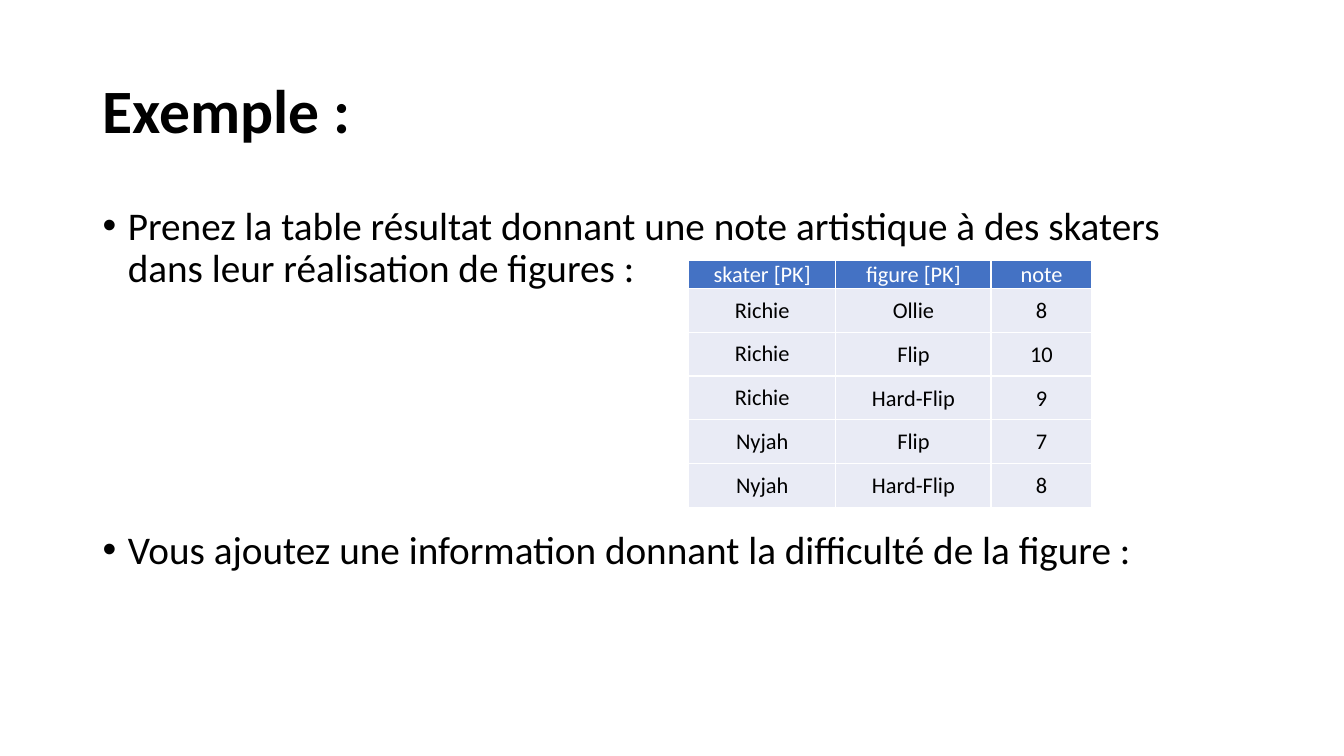
from lxml import etree
from pptx import Presentation
from pptx.dml.color import RGBColor
from pptx.enum.text import MSO_ANCHOR, MSO_AUTO_SIZE, PP_ALIGN
from pptx.oxml.ns import qn
from pptx.util import Inches, Pt

MIDDLE, TOP = MSO_ANCHOR.MIDDLE, MSO_ANCHOR.TOP
LEFT, CENTER = PP_ALIGN.LEFT, PP_ALIGN.CENTER
NO_FIT = MSO_AUTO_SIZE.NONE
TITLE_ONLY = 5

FONT = "Calibri"
BLACK, WHITE = "000000", "FFFFFF"
HEADER_FILL, ROW_FILL = "4472C4", "E9EBF5"

# Regions in inches: left, top, width, height
PAGE_WIDTH, PAGE_HEIGHT = 13.33, 7.5
MARGIN = 0.92
CONTENT_WIDTH = PAGE_WIDTH - 2 * MARGIN
TITLE_BOX = (MARGIN, 0.4, CONTENT_WIDTH, 1.45)
BODY_BOX = (MARGIN, 2, CONTENT_WIDTH, 4.76)
TABLE_BOX = (6.83, 2.58, 4, 2.44)

COLUMN_SHARES = (0.365, 0.385, 0.25)
HEADER_SHARE = 0.11
RESULTS = [
    ("skater [PK]", "figure [PK]", "note"),
    ("Richie", "Ollie", "8"),
    ("Richie", "Flip", "10"),
    ("Richie", "Hard-Flip", "9"),
    ("Nyjah", "Flip", "7"),
    ("Nyjah", "Hard-Flip", "8"),
]
# Each bullet with its space before; the wide one leaves room for the table
BULLETS = [
    ("Prenez la table résultat donnant une note artistique à des skaters "
     "dans leur réalisation de figures :", 0),
    ("Vous ajoutez une information donnant la difficulté de la figure :", 171),
]


def color(value):
    return RGBColor.from_string(value)


def write(para, text, size, ink=BLACK, bold=False, align=LEFT, spacing=1.0, before=0):
    para.alignment = align
    para.line_spacing = spacing
    para.space_before = Pt(before)
    span = para.add_run()
    span.text = text
    font = span.font
    font.name, font.size, font.bold = FONT, Pt(size), bold
    font.color.rgb = color(ink)


def add_bullet(para, indent):
    properties = para._p.get_or_add_pPr()
    properties.set("marL", str(Inches(indent)))
    properties.set("indent", str(-Inches(indent)))
    etree.SubElement(properties, qn("a:buFont"), typeface="Arial")
    etree.SubElement(properties, qn("a:buChar"), char="•")


def draw_borders(cell, ink, width):
    properties = cell._tc.get_or_add_tcPr()
    for position, side in enumerate(("a:lnL", "a:lnR", "a:lnT", "a:lnB")):
        line = etree.Element(qn(side), w=str(Pt(width)))
        fill = etree.SubElement(line, qn("a:solidFill"))
        etree.SubElement(fill, qn("a:srgbClr"), val=ink)
        properties.insert(position, line)


def add_title(page, box, text):
    title = page.shapes.title
    title.left, title.top, title.width, title.height = map(Inches, box)
    frame = title.text_frame
    frame.auto_size = NO_FIT
    frame.vertical_anchor = MIDDLE
    write(frame.paragraphs[0], text, 44, bold=True, spacing=0.9)


def add_bullets(page, box, bullets):
    frame = page.shapes.add_textbox(*map(Inches, box)).text_frame
    frame.word_wrap = True
    frame.auto_size = NO_FIT
    frame.vertical_anchor = TOP
    for index, (text, before) in enumerate(bullets):
        para = frame.add_paragraph() if index else frame.paragraphs[0]
        add_bullet(para, 0.25)
        write(para, text, 28, spacing=0.9, before=before)


def add_results(page, box, rows):
    width, height = box[2:]
    table = page.shapes.add_table(len(rows), len(rows[0]), *map(Inches, box)).table
    table.first_row = table.horz_banding = False

    for column, share in zip(table.columns, COLUMN_SHARES):
        column.width = Inches(width * share)
    row_share = (1 - HEADER_SHARE) / (len(rows) - 1)
    for index, row in enumerate(table.rows):
        row.height = Inches(height * (row_share if index else HEADER_SHARE))

    for row_index, values in enumerate(rows):
        is_header = row_index == 0
        for column_index, value in enumerate(values):
            cell = table.cell(row_index, column_index)
            is_skater = column_index == 0 and not is_header
            cell.margin_left = cell.margin_right = Inches(0.01)
            cell.margin_top = Inches(0.08 if is_skater else 0.01)
            cell.margin_bottom = Inches(0.08 if is_skater else 0)
            cell.vertical_anchor = MIDDLE
            cell.fill.solid()
            cell.fill.fore_color.rgb = color(HEADER_FILL if is_header else ROW_FILL)
            draw_borders(cell, WHITE, 1)
            write(cell.text_frame.paragraphs[0], value, 16,
                  ink=WHITE if is_header else BLACK, align=CENTER)


def main():
    deck = Presentation()
    deck.slide_width, deck.slide_height = Inches(PAGE_WIDTH), Inches(PAGE_HEIGHT)
    page = deck.slides.add_slide(deck.slide_layouts[TITLE_ONLY])
    add_title(page, TITLE_BOX, "Exemple :")
    add_bullets(page, BODY_BOX, BULLETS)
    add_results(page, TABLE_BOX, RESULTS)
    deck.save("out.pptx")


if __name__ == "__main__":
    main()
